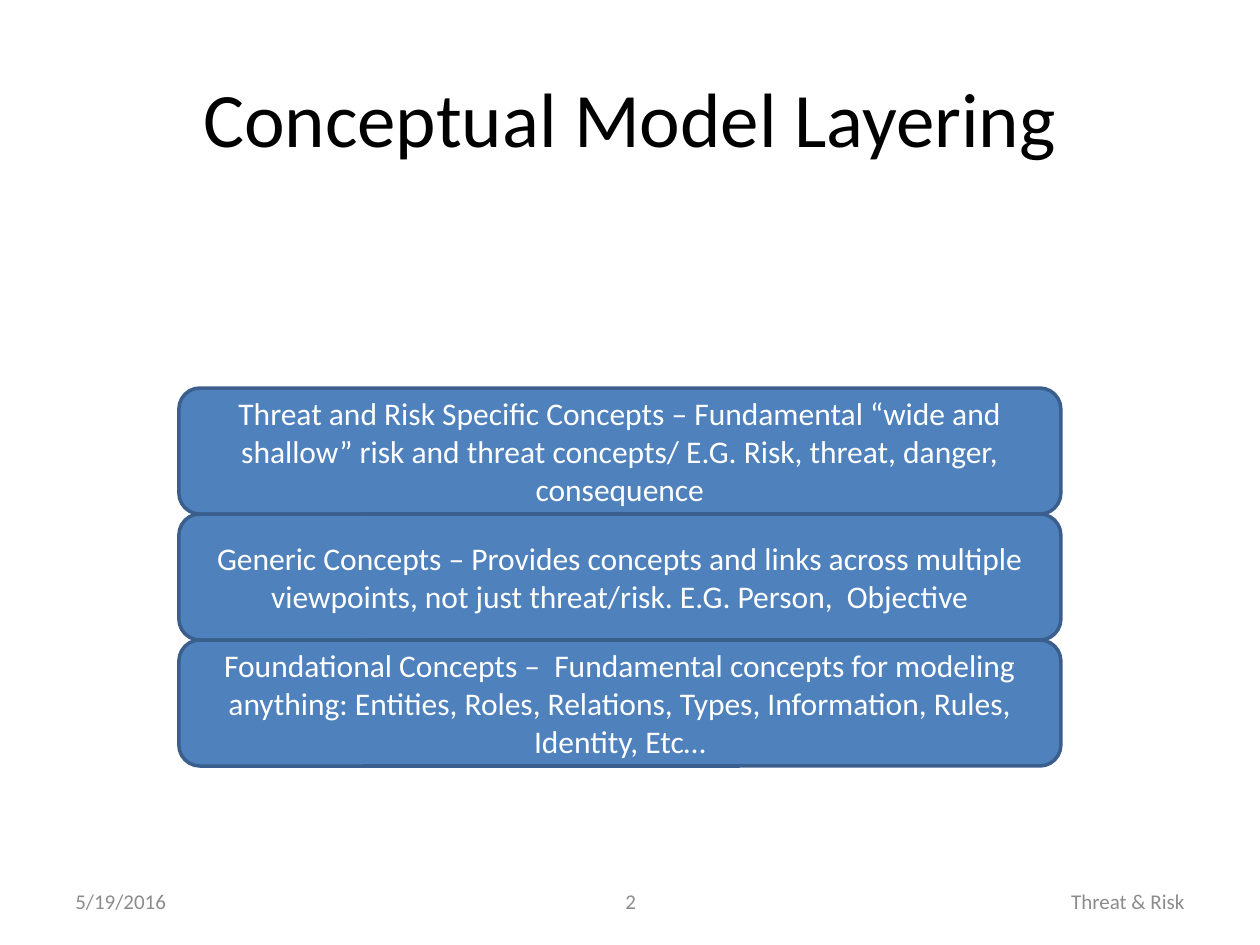
"""Build a slide of three stacked concept layers with a title and footer."""
from pptx import Presentation
from pptx import util as u
from pptx.dml.color import RGBColor
from pptx.enum import shapes, text

LEFT, MID, RIGHT = text.PP_ALIGN.LEFT, text.PP_ALIGN.CENTER, text.PP_ALIGN.RIGHT
LABELS = [
    ("5/19/2016", (0.5, 6.95, 2.33, 0.4), 12, "8C8C8C", LEFT),
    ("2", (3.42, 6.95, 3.17, 0.4), 12, "8C8C8C", MID),
    ("Threat & Risk", (7.17, 6.95, 2.33, 0.4), 12, "8C8C8C", RIGHT),
    ("Conceptual Model Layering", (0.5, 0.3, 9, 1.25), 44, "000000", MID),
]
LAYERS = [
    "Threat and Risk Specific Concepts – Fundamental “wide and shallow” risk "
    "and threat concepts/ E.G. Risk, threat, danger, consequence",
    "Generic Concepts – Provides concepts and links across multiple "
    "viewpoints, not just threat/risk. E.G. Person,  Objective",
    "Foundational Concepts –  Fundamental concepts for modeling anything: "
    "Entities, Roles, Relations, Types, Information, Rules, Identity, Etc…",
]
X, TOP, WIDTH, HEIGHT = 1.42, 3.08, 7, 1


def color(code):
    """Turn a hex string into a colour."""
    return RGBColor.from_string(code)


def write(shape, words, size, code, align):
    """Put one styled run, centred vertically, into a shape."""
    frame = shape.text_frame
    frame.word_wrap = True
    frame.vertical_anchor = text.MSO_ANCHOR.MIDDLE
    para = frame.paragraphs[0]
    para.alignment = align
    run = para.add_run()
    run.text = words
    run.font.name = "Calibri"
    run.font.size = u.Pt(size)
    run.font.color.rgb = color(code)


def main():
    """Draw the labels and layers and save the file."""
    deck = Presentation()
    deck.slide_width, deck.slide_height = u.Inches(10), u.Inches(7.5)
    slide = deck.slides.add_slide(deck.slide_layouts[6])
    for words, place, size, code, align in LABELS:
        box = slide.shapes.add_textbox(*map(u.Inches, place))
        write(box, words, size, code, align)
    for row, words in enumerate(LAYERS):
        place = X, TOP + row * HEIGHT, WIDTH, HEIGHT
        layer = slide.shapes.add_shape(
            shapes.MSO_SHAPE.ROUNDED_RECTANGLE, *map(u.Inches, place))
        layer.shadow.inherit = False
        layer.fill.solid()
        layer.fill.fore_color.rgb = color("4F81BD")
        layer.line.color.rgb = color("3A5F8C")
        layer.line.width = u.Pt(2)
        write(layer, words, 18, "FFFFFF", MID)
    deck.save("out.pptx")


if __name__ == "__main__":
    main()
